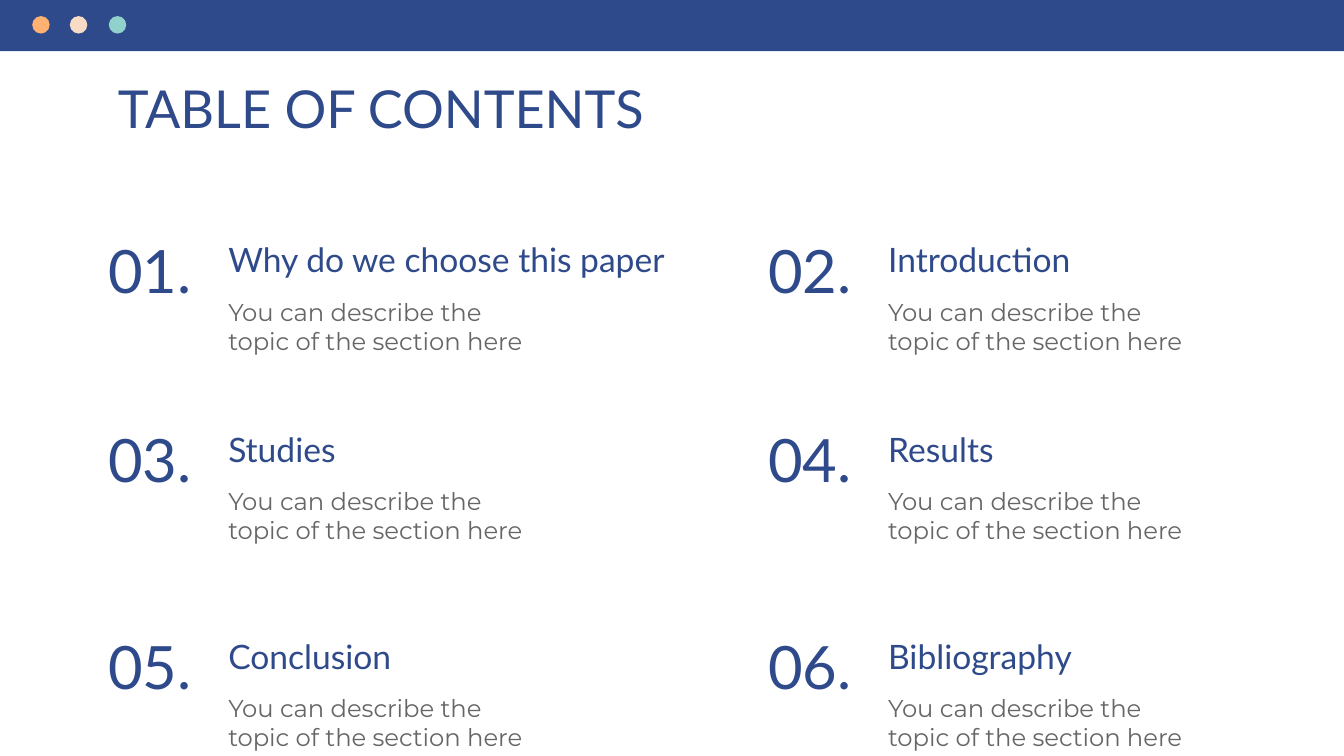
from dataclasses import dataclass
from pptx import Presentation
from pptx.dml.color import RGBColor
from pptx.enum.shapes import MSO_SHAPE
from pptx.enum.text import MSO_ANCHOR, PP_ALIGN
from pptx.util import Inches, Pt

NAVY = "2F4A8A"
GREY = "666666"
BLURB = "You can describe the topic of the section here"


@dataclass
class Box:
    left: float
    top: float
    width: float
    height: float


@dataclass
class Style:
    size: int
    face: str = "Lato"
    color: str = NAVY
    align: PP_ALIGN = PP_ALIGN.LEFT
    anchor: MSO_ANCHOR = MSO_ANCHOR.TOP
    after: int = 0


@dataclass
class Topic:
    name: str
    width: float


TITLE = Style(28)
HEAD = Style(18)
NUMBER = Style(32, align=PP_ALIGN.CENTER, anchor=MSO_ANCHOR.BOTTOM)
BODY = Style(13, "Montserrat", GREY, after=12)

TOPICS = [
    Topic("Why do we choose this paper", 3.58),
    Topic("Introduction", 2.98),
    Topic("Studies", 2.92),
    Topic("Results", 2.98),
    Topic("Conclusion", 2.92),
    Topic("Bibliography", 2.98),
]
COLUMNS = [0.62, 5.53]
ROWS = [1.68, 3.09, 4.63]
DOTS = {0.24: "FFB172", 0.52: "F8DBC4", 0.81: "90D1CB"}


def paint(color: str) -> RGBColor:
    return RGBColor.from_string(color)


def apply(target, values: dict) -> None:
    for key, value in values.items():
        setattr(target, key, value)


def place(box: Box) -> list:
    return [Inches(n) for n in (box.left, box.top, box.width, box.height)]


def add_text(slide, box: Box, text: str, style: Style) -> None:
    frame = slide.shapes.add_textbox(*place(box)).text_frame
    sides = ("left", "top", "right", "bottom")
    apply(frame, {f"margin_{side}": Inches(0.1) for side in sides})
    apply(frame, {"word_wrap": True, "vertical_anchor": style.anchor})
    para = frame.paragraphs[0]
    apply(para, {"alignment": style.align, "space_after": Pt(style.after)})
    run = para.add_run()
    run.text = text
    apply(run.font, {"size": Pt(style.size), "name": style.face})
    run.font.color.rgb = paint(style.color)


def add_shape(slide, kind: MSO_SHAPE, box: Box, color: str) -> None:
    shape = slide.shapes.add_shape(kind, *place(box))
    shape.shadow.inherit = False
    shape.fill.solid()
    shape.fill.fore_color.rgb = paint(color)
    shape.line.fill.background()


def add_topic(slide, index: int, topic: Topic) -> None:
    row, col = divmod(index, len(COLUMNS))
    left, top = COLUMNS[col], ROWS[row]
    inner = left + 0.98
    add_text(slide, Box(inner, top, topic.width, 0.51), topic.name, HEAD)
    add_text(slide, Box(left, top + 0.05, 0.99, 0.64), f"{index + 1:02}.", NUMBER)
    add_text(slide, Box(inner, top + 0.43, 2.49, 0.64), BLURB, BODY)


def main() -> None:
    deck = Presentation()
    width = Inches(10)
    apply(deck, {"slide_width": width, "slide_height": width * 9 // 16})
    slide = deck.slides.add_slide(deck.slide_layouts[6])
    add_text(slide, Box(0.78, 0.47, 8.44, 0.51), "TABLE OF CONTENTS", TITLE)
    add_shape(slide, MSO_SHAPE.RECTANGLE, Box(0, 0, 10, 0.38), NAVY)
    for left, color in DOTS.items():
        add_shape(slide, MSO_SHAPE.OVAL, Box(left, 0.12, 0.13, 0.13), color)
    for index, topic in enumerate(TOPICS):
        add_topic(slide, index, topic)
    deck.save("out.pptx")


if __name__ == "__main__":
    main()
